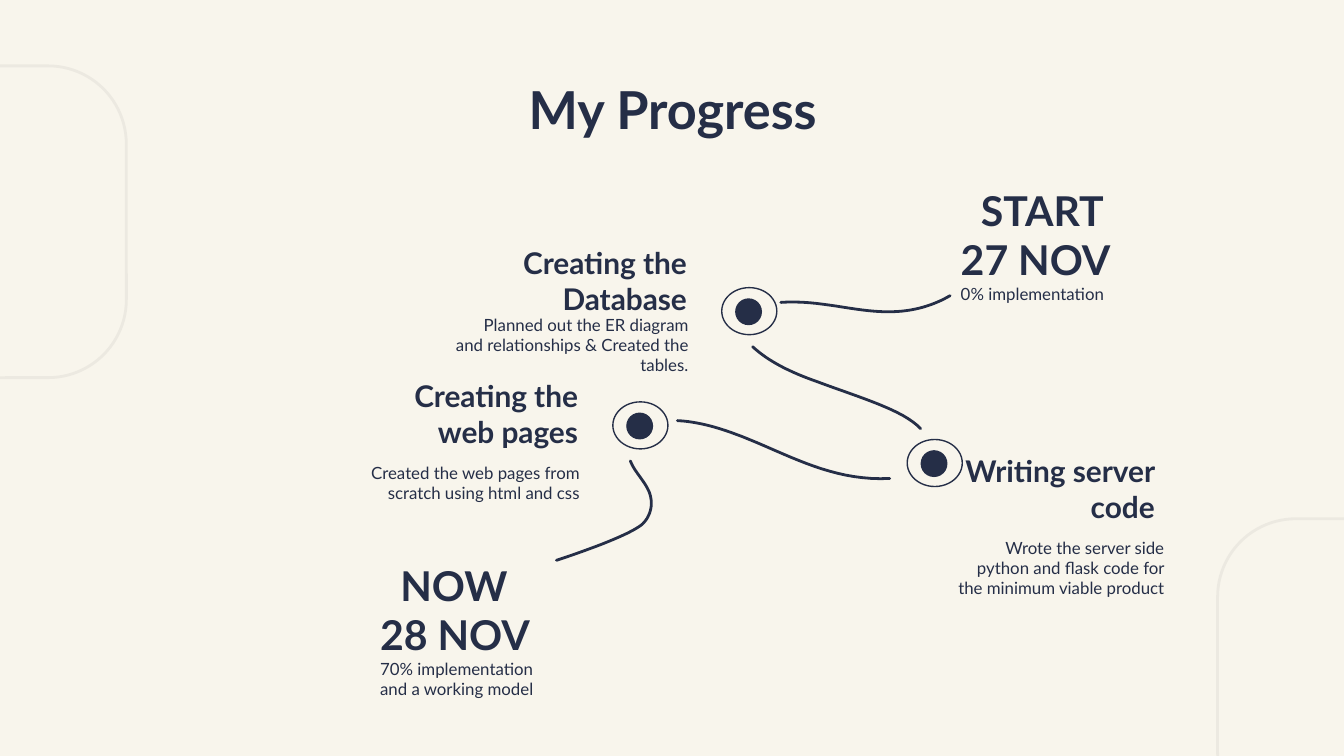
from dataclasses import dataclass

from pptx import Presentation
from pptx.dml.color import RGBColor
from pptx.enum.shapes import MSO_SHAPE as Shape
from pptx.enum.text import MSO_ANCHOR as Anchor, MSO_AUTO_SIZE as AutoSize, PP_ALIGN as Align
from pptx.util import Inches, Pt

WIDTH = 10
HEIGHT = WIDTH * 9 / 16
TITLE_ONLY = 5


@dataclass(frozen=True)
class Theme:
    paper: RGBColor = RGBColor.from_string("F8F5EC")
    ink: RGBColor = RGBColor.from_string("252E47")
    frame: RGBColor = RGBColor.from_string("ECE9E1")
    font: str = "Lato"
    title: int = 28
    date: int = 22
    heading: int = 16
    body: int = 9
    thick: float = 1.5
    thin: float = 0.75


THEME = Theme()

# Heading box, note box and marker corner of each step
STEPS = [
    ("Writing server code", (7.07, 3.4, 1.62, 0.47),
     "Wrote the server side python and flask code for the minimum viable product",
     (7.01, 3.96, 1.75, 0.53), (6.75, 3.27)),
    ("Creating the web pages", (2.78, 2.84, 1.62, 0.47),
     "Created the web pages from scratch using html and css",
     (2.47, 3.33, 1.94, 0.53), (4.56, 2.99)),
    ("Creating the Database", (3.59, 1.85, 1.62, 0.47),
     "Planned out the ER diagram and relationships & Created the tables.",
     (3.28, 2.3, 1.94, 0.53), (5.37, 2.14)),
]

MILESTONES = [
    ("START 27 NOV", "0% implementation", (7.05, 1.28, 1.41, 1.09)),
    ("NOW 28 NOV", "70% implementation and a working model", (2.73, 4.07, 1.55, 1.25)),
]

# Each trail is a start point, then two controls and an end for each bend
TRAILS = [
    [(4.69, 3.43), (4.72, 3.51), (4.79, 3.57), (4.83, 3.66),
     (4.86, 3.74), (4.85, 3.83), (4.78, 3.9),
     (4.71, 3.96), (4.5, 4.05), (4.14, 4.17)],
    [(5.04, 3.13), (5.25, 3.14), (5.46, 3.22), (5.67, 3.31),
     (5.95, 3.43), (6.25, 3.58), (6.62, 3.56)],
    [(5.6, 2.58), (5.72, 2.69), (5.88, 2.77), (6.08, 2.84),
     (6.4, 2.96), (6.72, 3.05), (6.85, 3.19)],
    [(5.81, 2.25), (6.1, 2.23), (6.35, 2.32), (6.61, 2.32),
     (6.8, 2.32), (6.95, 2.27), (7.07, 2.2)],
]


def inches(values):
    return [Inches(value) for value in values]


def style_shape(shape, fill=None, line=None, weight=THEME.thin):
    shape.shadow.inherit = False
    if fill is None:
        shape.fill.background()
    else:
        shape.fill.solid()
        shape.fill.fore_color.rgb = fill
    if line is None:
        shape.line.fill.background()
    else:
        shape.line.color.rgb = line
        shape.line.width = Pt(weight)


def set_frame(frame, anchor, auto_size=AutoSize.NONE):
    frame.word_wrap = True
    frame.auto_size = auto_size
    frame.vertical_anchor = anchor
    frame.margin_left = frame.margin_right = Inches(0.1)
    frame.margin_top = frame.margin_bottom = Inches(0.1)


def add_span(para, text, size, bold=False):
    span = para.add_run()
    span.text = text
    span.font.name = THEME.font
    span.font.size = Pt(size)
    span.font.bold = bold
    span.font.color.rgb = THEME.ink


def add_title(page, text):
    title = page.shapes.title
    title.left, title.top, title.width, title.height = inches((0.79, 0.49, 8.43, 0.63))
    set_frame(title.text_frame, Anchor.MIDDLE)
    para = title.text_frame.paragraphs[0]
    para.alignment = Align.CENTER
    add_span(para, text, THEME.title, bold=True)


def add_label(page, text, place, size, bold=False):
    frame = page.shapes.add_textbox(*inches(place)).text_frame
    set_frame(frame, Anchor.MIDDLE)
    para = frame.paragraphs[0]
    para.alignment = Align.RIGHT
    add_span(para, text, size, bold)


def add_milestone(page, date, note, place):
    frame = page.shapes.add_textbox(*inches(place)).text_frame
    set_frame(frame, Anchor.TOP, AutoSize.SHAPE_TO_FIT_TEXT)
    para = frame.paragraphs[0]
    # First-line indent sets the word above the date
    para._p.get_or_add_pPr().set("indent", str(Inches(0.15)))
    add_span(para, date, THEME.date, bold=True)
    add_span(frame.add_paragraph(), note, THEME.body)


def add_marker(page, left, top):
    ring = page.shapes.add_shape(Shape.OVAL, *inches((left, top, 0.41, 0.35)))
    style_shape(ring, line=THEME.ink)
    dot = page.shapes.add_shape(Shape.OVAL, *inches((left + 0.1, top + 0.08, 0.2, 0.2)))
    style_shape(dot, fill=THEME.ink)


def bezier(controls, t):
    weights = ((1 - t) ** 3, 3 * t * (1 - t) ** 2, 3 * t ** 2 * (1 - t), t ** 3)
    return tuple(Inches(sum(w * point[axis] for w, point in zip(weights, controls)))
                 for axis in (0, 1))


def add_trail(page, points, steps=16):
    curve = [bezier(points[first:first + 4], step / steps)
             for first in range(0, len(points) - 1, 3)
             for step in range(1, steps + 1)]
    builder = page.shapes.build_freeform(*inches(points[0]))
    builder.add_line_segments(curve, close=False)
    trail = builder.convert_to_shape()
    style_shape(trail, line=THEME.ink, weight=THEME.thick)
    trail.line._get_or_add_ln().set("cap", "rnd")


def add_corner_frame(page, left, top):
    frame = page.shapes.add_shape(Shape.ROUNDED_RECTANGLE, *inches((left, top, 1.94, 2.32)))
    frame.adjustments[0] = 0.3
    style_shape(frame, line=THEME.frame, weight=THEME.thick)


def main():
    deck = Presentation()
    deck.slide_width, deck.slide_height = inches((WIDTH, HEIGHT))
    page = deck.slides.add_slide(deck.slide_layouts[TITLE_ONLY])
    page.background.fill.solid()
    page.background.fill.fore_color.rgb = THEME.paper

    # Decoration at the two sides
    add_corner_frame(page, -1, 0.49)
    add_corner_frame(page, 9.06, 3.86)

    add_title(page, "My Progress")

    # Path from start to now
    for points in TRAILS:
        add_trail(page, points)
    for heading, heading_place, note, note_place, marker in STEPS:
        add_label(page, heading, heading_place, THEME.heading, bold=True)
        add_marker(page, *marker)
        add_label(page, note, note_place, THEME.body)
    for milestone in MILESTONES:
        add_milestone(page, *milestone)

    deck.save("out.pptx")


if __name__ == "__main__":
    main()
